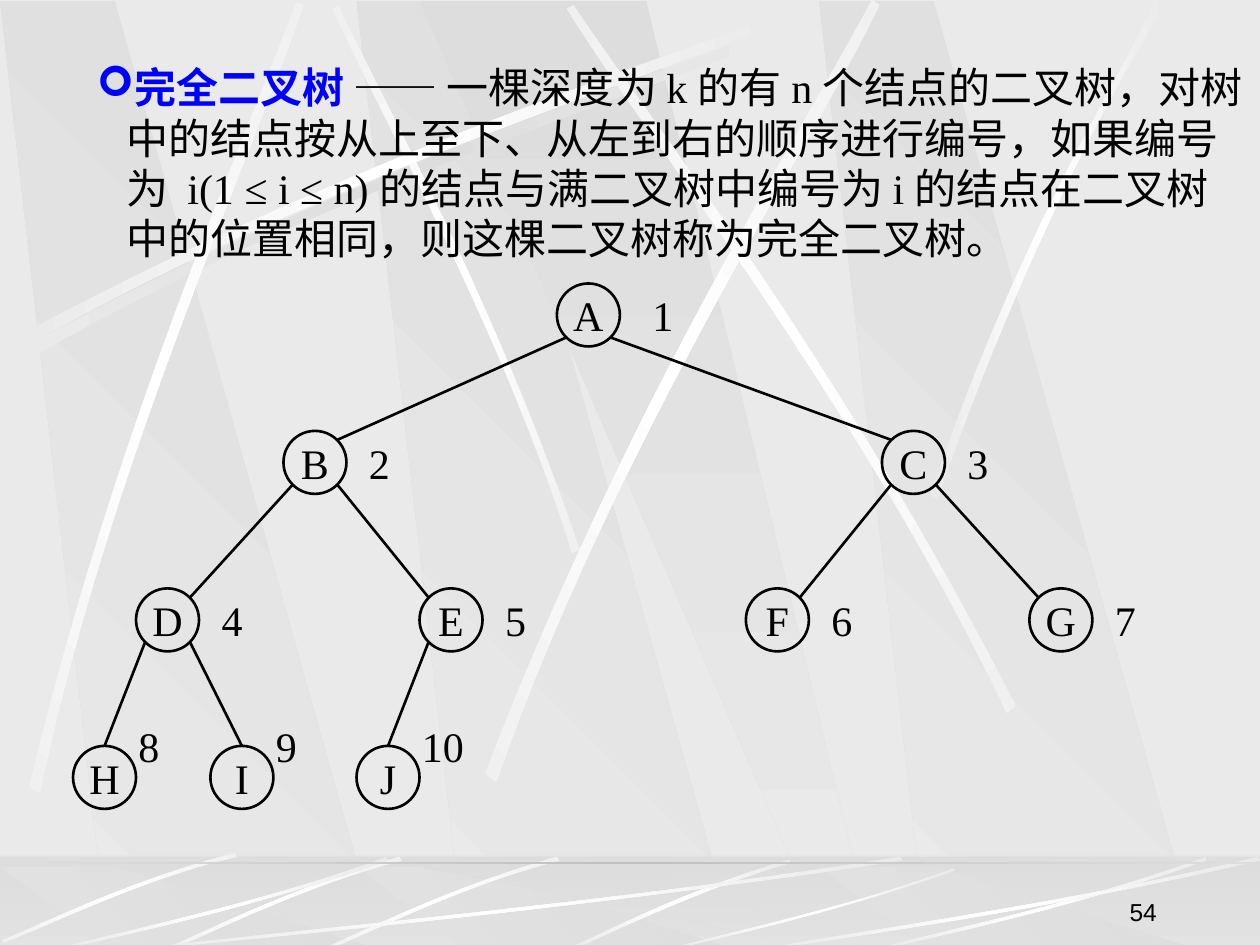
import math

import lxml.etree
import pptx
import pptx.dml.color
import pptx.enum.shapes
import pptx.enum.text
import pptx.oxml.ns
import pptx.util

RGBColor = pptx.dml.color.RGBColor
BLACK = RGBColor(0x00, 0x00, 0x00)
BLUE = RGBColor(0x00, 0x00, 0xFF)
WHITE = RGBColor(0xFF, 0xFF, 0xFF)
PALE = RGBColor(0xEA, 0xEA, 0xEA)
GREY = RGBColor(0xDD, 0xDD, 0xDD)
SILVER = RGBColor(0xC0, 0xC0, 0xC0)
PANEL = (GREY, PALE)
GLOW = (PALE, WHITE, PALE)
SHADE = (PALE, GREY, PALE)

PANEL_LEFTS = (2.83, 0, 6.5)
RADIUS = 0.25
CORNER = 0.18  # offset of the 45 degree point on a node's rim

# Each streak: two long edges (start, control, control, end), then rotation
LONG_STREAK = (((0.14, 2.67), (2.78, 1.25), (5.18, 0.51), (6.2, 0.1)),
               ((6.23, 0.16), (5.22, 0.61), (2.48, 1.43), (0.17, 2.77)), 0)
FALLING_STREAK = (((4.6, 4.36), (3.91, 2.34), (3.02, 0.77), (2.69, 0.05)),
                  ((2.64, 0.07), (2.95, 0.79), (3.98, 2.58), (4.54, 4.39)), 45)
UPPER_STREAKS = (
    (((0.23, 6.25), (0.93, 3.34), (1.97, 1.05), (2.35, 0.02)),
     ((2.41, 0.04), (2.07, 1.08), (0.86, 3.68), (0.32, 6.29)), 311.7),
    (((3.85, 6.14), (4.98, 3.2), (6.38, 1.02), (6.92, 0)),
     ((6.98, 0.04), (6.49, 1.08), (4.86, 3.55), (3.94, 6.21)), 321.6),
    (((8.06, 5.6), (6.7, 2.93), (5.16, 0.95), (4.55, 0.04)),
     ((4.5, 0.07), (5.07, 1.01), (6.85, 3.25), (7.99, 5.66)), 34.8),
    (((7.38, 3.93), (8.14, 1.73), (8.88, 0.66), (9.17, 0)),
     ((9.27, 0), (8.36, 1.45), (7.69, 3.22), (7.44, 3.97)), 0),
)
SMALL_STREAK = (((3.17, 6.8), (2.3, 7.05), (1.62, 7.4), (1.31, 7.53)),
                ((1.32, 7.55), (1.63, 7.43), (2.4, 7.03), (3.19, 6.83)), 314.9)
FLOOR_STREAK = (((3.08, 6.83), (1.93, 7.23), (0.88, 7.44), (0.43, 7.55)),
                ((0.42, 7.54), (0.86, 7.41), (2.06, 7.18), (3.07, 6.8)), 0)
# Streaks on the floor with their shift to the right
LOWER_STREAKS = (
    ((((6.27, 6.82), (5.37, 7.09), (4.77, 7.42), (4.48, 7.54)),
      ((4.53, 7.55), (4.9, 7.37), (5.71, 7), (6.28, 6.85)), 0), 0),
    (SMALL_STREAK, 1.25),
    (SMALL_STREAK, 0),
    ((((1.86, 6.77), (0.99, 7), (0.33, 7.34), (0.02, 7.46)),
      ((0.03, 7.48), (0.34, 7.37), (1.1, 6.98), (1.88, 6.8)), 314.9), 0),
    ((((7.17, 6.83), (4.49, 7.23), (2.06, 7.44), (1.03, 7.55)),
      ((1, 7.54), (2.02, 7.41), (4.8, 7.18), (7.14, 6.8)), 0), 0),
    (FLOOR_STREAK, 0),
    ((((7.58, 6.91), (6.58, 7.26), (5.67, 7.45), (5.28, 7.55)),
      ((5.27, 7.54), (5.65, 7.43), (6.69, 7.22), (7.57, 6.89)), 0), 0),
    (FLOOR_STREAK, 6.5),
    ((((10, 6.83), (8.27, 7.23), (6.69, 7.44), (6.02, 7.55)),
      ((6, 7.54), (6.66, 7.41), (8.46, 7.18), (9.98, 6.8)), 0), 0),
)

# Node centres in level order, so the parent of node i is node (i - 1) // 2
NODES = {
    "A": (4.67, 2.5), "B": (2.5, 3.67), "C": (7.25, 3.67),
    "D": (1.33, 4.92), "E": (3.58, 4.92), "F": (6.17, 4.92), "G": (8.42, 4.92),
    "H": (0.83, 6.17), "I": (1.92, 6.17), "J": (3.08, 6.17),
}
FIRST_LEAF = 7  # nodes from here on make up the bottom level


def grid(*inches):
    """Lengths for positions on the one-inch layout grid."""
    return [pptx.util.Cm(2.54 * value) for value in inches]


def rotate(x, y, degrees):
    angle = math.radians(degrees)
    return (x * math.cos(angle) - y * math.sin(angle),
            x * math.sin(angle) + y * math.cos(angle))


def add_element(parent, tag, **attributes):
    return lxml.etree.SubElement(parent, pptx.oxml.ns.qn(tag), attributes)


class SlideBuilder:
    font_name = "Times New Roman"
    font_size = pptx.util.Pt(24)
    line_width = pptx.util.Pt(1.5)

    def __init__(self, slide):
        self.slide = slide
        self.shapes = slide.shapes

    def paint(self, shape, colors, angle):
        """Fill a borderless shape with evenly spaced gradient colours."""
        shape.shadow.inherit = False
        shape.line.fill.background()
        shape.fill.gradient()
        shape.fill.gradient_angle = -angle % 360
        stops = shape.element.spPr.find(".//" + pptx.oxml.ns.qn("a:gsLst"))
        for stop in list(stops):
            stops.remove(stop)
        for index, color in enumerate(colors):
            position = str(index * 100000 // (len(colors) - 1))
            stop = add_element(stops, "a:gs", pos=position)
            add_element(stop, "a:srgbClr", val=str(color))

    def polygon(self, points, colors, angle):
        start, *others = [grid(*point) for point in points]
        builder = self.shapes.build_freeform(*start)
        builder.add_line_segments(others)
        shape = builder.convert_to_shape()
        self.paint(shape, colors, angle)
        return shape

    def panels(self, top, bottom):
        for left in PANEL_LEFTS:
            self.polygon([(left + 0.86, bottom), (left + 3.02, bottom),
                          (left + 0.91, top), (left, top)], PANEL, 135)
        self.polygon([(3.33, top), (6.58, bottom), (6.94, bottom), (5.13, top)],
                     PANEL, 90)

    def streak(self, streak, dx=0, dy=0, colors=GLOW):
        """A curved sliver, outlined upright and then turned by its rotation."""
        first_edge, second_edge, rotation = streak
        points = [rotate(x + dx, y + dy, -rotation) for x, y in first_edge + second_edge]
        shape = self.polygon(points, colors, 180)
        outline = shape.element.spPr.find(".//" + pptx.oxml.ns.qn("a:path"))
        lines = outline.findall(pptx.oxml.ns.qn("a:lnTo"))
        for controls in (lines[:3], lines[4:7]):
            curve = lxml.etree.Element(pptx.oxml.ns.qn("a:cubicBezTo"))
            controls[0].addprevious(curve)
            for line in controls:
                curve.append(line[0])
                outline.remove(line)
        centre_x, centre_y = rotate(shape.left + shape.width / 2,
                                    shape.top + shape.height / 2, rotation)
        shape.left = round(centre_x - shape.width / 2)
        shape.top = round(centre_y - shape.height / 2)
        shape.rotation = rotation

    def band(self, top, height, colors, angle=0):
        shape = self.shapes.add_shape(pptx.enum.shapes.MSO_SHAPE.RECTANGLE,
                                      *grid(0, top, 10, height))
        self.paint(shape, colors, angle)
        return shape

    def veil(self, top, height, color):
        """A half-transparent band."""
        shape = self.band(top, height, (color, color))
        shape.fill.solid()
        shape.fill.fore_color.rgb = color
        color_element = shape.element.spPr.find(".//" + pptx.oxml.ns.qn("a:srgbClr"))
        add_element(color_element, "a:alpha", val="50000")

    def style(self, paragraph, size=None, name=None):
        paragraph.font.size = size or self.font_size
        paragraph.font.name = name or self.font_name
        paragraph.font.color.rgb = BLACK

    def text(self, left, top, width, height, text, **font):
        frame = self.shapes.add_textbox(*grid(left, top, width, height)).text_frame
        frame.word_wrap = True
        paragraph = frame.paragraphs[0]
        paragraph.text = text
        self.style(paragraph, **font)
        return frame

    def definition(self, term, explanation):
        paragraph = self.text(0.67, 0.44, 9.33, 1.7, "").paragraphs[0]
        properties = paragraph._p.get_or_add_pPr()
        indent = pptx.util.Cm(0.6)
        properties.set("marL", str(indent))
        properties.set("indent", str(-indent))
        bullet_color = lxml.etree.Element(pptx.oxml.ns.qn("a:buClr"))
        add_element(bullet_color, "a:srgbClr", val=str(BLUE))
        bullet_font = lxml.etree.Element(pptx.oxml.ns.qn("a:buFont"), typeface="Wingdings")
        bullet = lxml.etree.Element(pptx.oxml.ns.qn("a:buChar"), char="➢")
        for position, element in enumerate((bullet_color, bullet_font, bullet)):
            properties.insert(position, element)
        term_run = paragraph.add_run()
        term_run.text = term
        term_run.font.bold = True
        term_run.font.color.rgb = BLUE
        paragraph.add_run().text = explanation

    def node(self, x, y, letter):
        shape = self.shapes.add_shape(
            pptx.enum.shapes.MSO_SHAPE.OVAL,
            *grid(x - RADIUS, y - RADIUS, 2 * RADIUS, 2 * RADIUS))
        shape.shadow.inherit = False
        shape.fill.background()
        shape.line.color.rgb = BLACK
        shape.line.width = self.line_width
        frame = shape.text_frame
        frame.word_wrap = False
        frame.vertical_anchor = pptx.enum.text.MSO_ANCHOR.MIDDLE
        paragraph = frame.paragraphs[0]
        paragraph.text = letter
        paragraph.alignment = pptx.enum.text.PP_ALIGN.CENTER
        self.style(paragraph)

    def edge(self, start, end):
        connector = self.shapes.add_connector(
            pptx.enum.shapes.MSO_CONNECTOR.STRAIGHT, *grid(*start, *end))
        connector.line.color.rgb = BLACK
        connector.line.width = self.line_width
        add_element(connector.element.spPr, "a:effectLst")

    def background(self):
        self.slide.background.fill.solid()
        self.slide.background.fill.fore_color.rgb = PALE
        self.panels(0.01, 7.52)
        self.streak(LONG_STREAK, 0.06, 0.08, SHADE)
        for streak in (FALLING_STREAK, LONG_STREAK, *UPPER_STREAKS):
            self.streak(streak)
        self.band(6.8, 0.75, PANEL, 90)
        self.panels(6.88, 7.54)
        self.veil(6.79, 0.75, GREY)
        for streak, shift in LOWER_STREAKS:
            self.streak(streak, shift)
        self.band(6.84, 0.02, (GREY, SILVER, GREY))

    def tree(self):
        centres = list(NODES.values())
        for letter, (x, y) in NODES.items():
            self.node(x, y, letter)
        for index, (x, y) in enumerate(centres[1:], start=1):
            parent_x, parent_y = centres[(index - 1) // 2]
            side = 1 if x > parent_x else -1
            end = ((x, y - RADIUS) if index >= FIRST_LEAF
                   else (x - side * CORNER, y - CORNER))
            self.edge((parent_x + side * CORNER, parent_y + CORNER), end)
        for index, (x, y) in enumerate(centres):
            is_leaf = index >= FIRST_LEAF
            gap = 0.17 if is_leaf else 0.33 if index else 0.41
            rise = 0.5 if is_leaf else RADIUS
            number = str(index + 1)
            self.text(x + gap, y - rise, 0.26 + 0.16 * len(number), 0.5, number)

    def page_number(self, number):
        frame = self.text(7.2, 6.9, 2.08, 0.5, number,
                          size=pptx.util.Pt(14), name="Arial")
        frame.vertical_anchor = pptx.enum.text.MSO_ANCHOR.BOTTOM
        frame.paragraphs[0].alignment = pptx.enum.text.PP_ALIGN.RIGHT


def main():
    presentation = pptx.Presentation()
    presentation.slide_width, presentation.slide_height = grid(10, 7.5)
    builder = SlideBuilder(presentation.slides.add_slide(presentation.slide_layouts[6]))
    builder.background()
    builder.definition(
        "完全二叉树",
        " —— 一棵深度为 k 的有 n 个结点的二叉树，对树中的结点按从上至下、从左到右的顺序进行编号，"
        "如果编号为  i(1 ≤ i ≤ n) 的结点与满二叉树中编号为 i 的结点在二叉树中的位置相同，"
        "则这棵二叉树称为完全二叉树。")
    builder.tree()
    builder.page_number("54")
    presentation.save("out.pptx")


if __name__ == "__main__":
    main()
